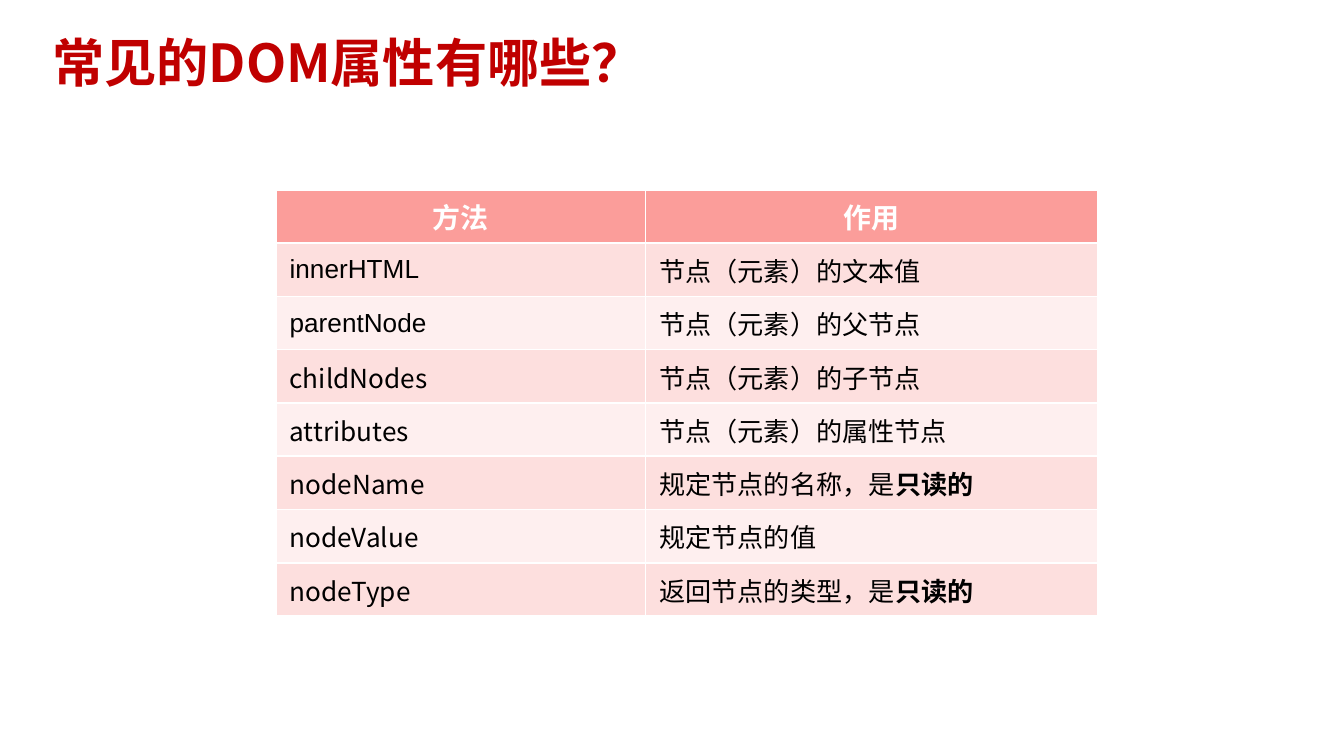
from lxml import etree
from pptx import Presentation
from pptx import util as u
from pptx.dml import color
from pptx.enum import text
from pptx.oxml import ns

WIDTH = u.Inches(10)
HEIGHT = WIDTH * 9 // 16
CJK, LATIN = "Noto Sans CJK SC", "Arial"
READ_ONLY = "只读的"
HEADINGS = ("方法", "作用")
PROPERTIES = [
    ("innerHTML", "节点（元素）的文本值", ""),
    ("parentNode", "节点（元素）的父节点", ""),
    ("childNodes", "节点（元素）的子节点", ""),
    ("attributes", "节点（元素）的属性节点", ""),
    ("nodeName", "规定节点的名称，是", READ_ONLY),
    ("nodeValue", "规定节点的值", ""),
    ("nodeType", "返回节点的类型，是", READ_ONLY),
]
ARIAL_NAMES = ("innerHTML", "parentNode")


def rgb(hex_code):
    return color.RGBColor.from_string(hex_code)


def percent(left, top, width, height):
    return (round(left * WIDTH / 100), round(top * HEIGHT / 100),
            round(width * WIDTH / 100), round(height * HEIGHT / 100))


def write(paragraph, words, size=14, font=CJK, ink="000000", bold=False, align=None):
    run = paragraph.add_run()
    run.text = words
    run.font.size = u.Pt(size)
    run.font.name = font
    run.font.bold = bold
    run.font.color.rgb = rgb(ink)
    east_asian = etree.SubElement(run._r.get_or_add_rPr(), ns.qn("a:ea"))
    east_asian.set("typeface", CJK)
    if align is not None:
        paragraph.alignment = align


def style_cell(cell, fill, padding):
    properties = cell._tc.get_or_add_tcPr()
    for side in "LRTB":
        border = etree.SubElement(properties, ns.qn(f"a:ln{side}"), w=str(u.Pt(1)))
        paint = etree.SubElement(border, ns.qn("a:solidFill"))
        etree.SubElement(paint, ns.qn("a:srgbClr"), val="FFFFFF")
    cell.fill.solid()
    cell.fill.fore_color.rgb = rgb(fill)
    cell.margin_left = cell.margin_right = u.Inches(0.1)
    cell.margin_top = cell.margin_bottom = u.Inches(padding)


def add_title(slide, box):
    frame = slide.shapes.add_textbox(*box).text_frame
    frame.word_wrap = True
    frame.vertical_anchor = text.MSO_ANCHOR.MIDDLE
    frame.margin_left = frame.margin_right = u.Inches(0.1)
    frame.margin_top = frame.margin_bottom = u.Inches(0.1)
    write(frame.paragraphs[0], "常见的DOM属性有哪些？", size=28, ink="C00000", bold=True)


def add_property_table(slide, box):
    left, top, width, height = box
    row_count = len(PROPERTIES) + 1
    table = slide.shapes.add_table(row_count, 2, left, top, width, height).table
    for column, part in zip(table.columns, (0.45, 0.55)):
        column.width = round(width * part)
    for row in table.rows:
        row.height = height // row_count

    for column, heading in enumerate(HEADINGS):
        cell = table.cell(0, column)
        style_cell(cell, "FB9D9A", 0.05)
        write(cell.text_frame.paragraphs[0], heading, size=15, font=LATIN,
              ink="FFFFFF", bold=True, align=text.PP_ALIGN.CENTER)

    for index, (name, purpose, emphasis) in enumerate(PROPERTIES, 1):
        name_cell, purpose_cell = table.cell(index, 0), table.cell(index, 1)
        for cell in (name_cell, purpose_cell):
            style_cell(cell, "FDDFDE" if index % 2 else "FEEFEF", 0.06)
            cell.vertical_anchor = text.MSO_ANCHOR.MIDDLE
        write(name_cell.text_frame.paragraphs[0], name,
              font=LATIN if name in ARIAL_NAMES else CJK)
        paragraph = purpose_cell.text_frame.paragraphs[0]
        write(paragraph, purpose)
        if emphasis:
            write(paragraph, emphasis, bold=True)


def main():
    deck = Presentation()
    deck.slide_width, deck.slide_height = WIDTH, HEIGHT
    slide = deck.slides.add_slide(deck.slide_layouts[6])
    add_title(slide, percent(2.9, 2.6, 56.2, 11.2))
    add_property_table(slide, percent(20.55, 25.1, 61.1, 56.4))
    deck.save("out.pptx")


if __name__ == "__main__":
    main()
